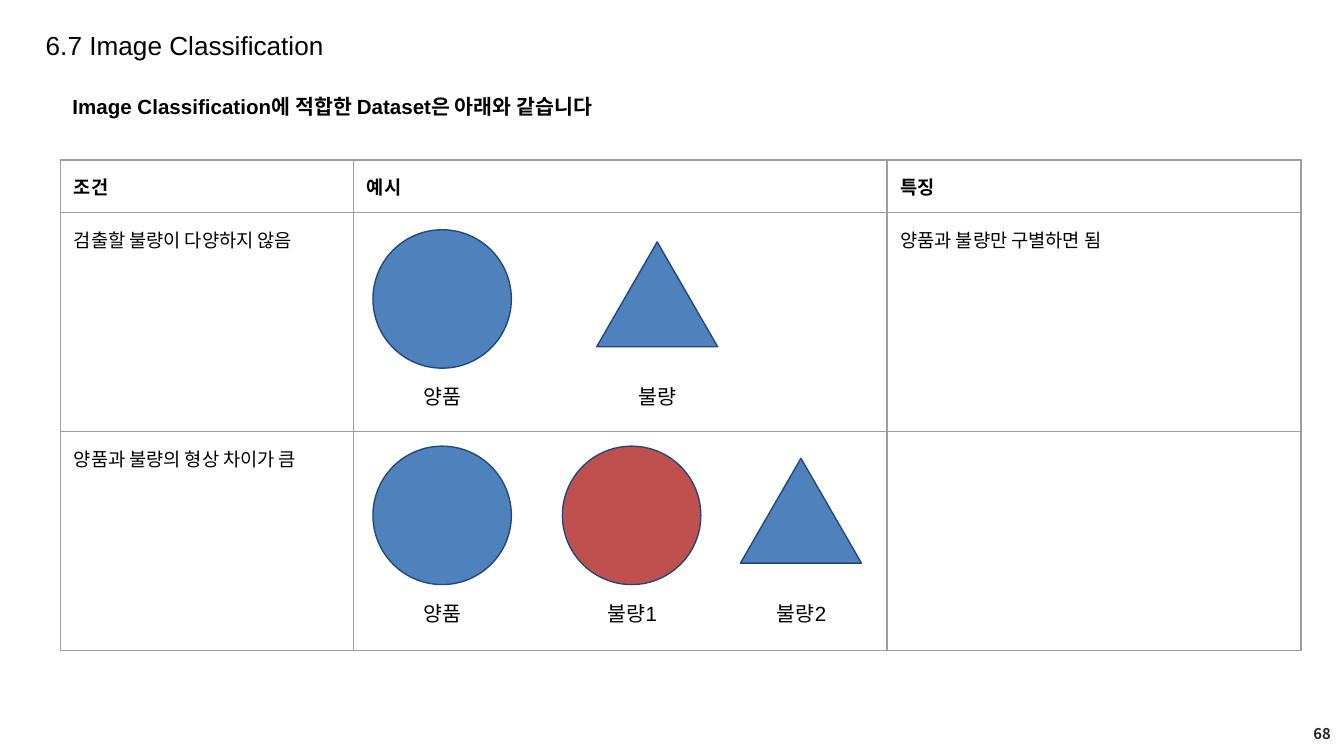
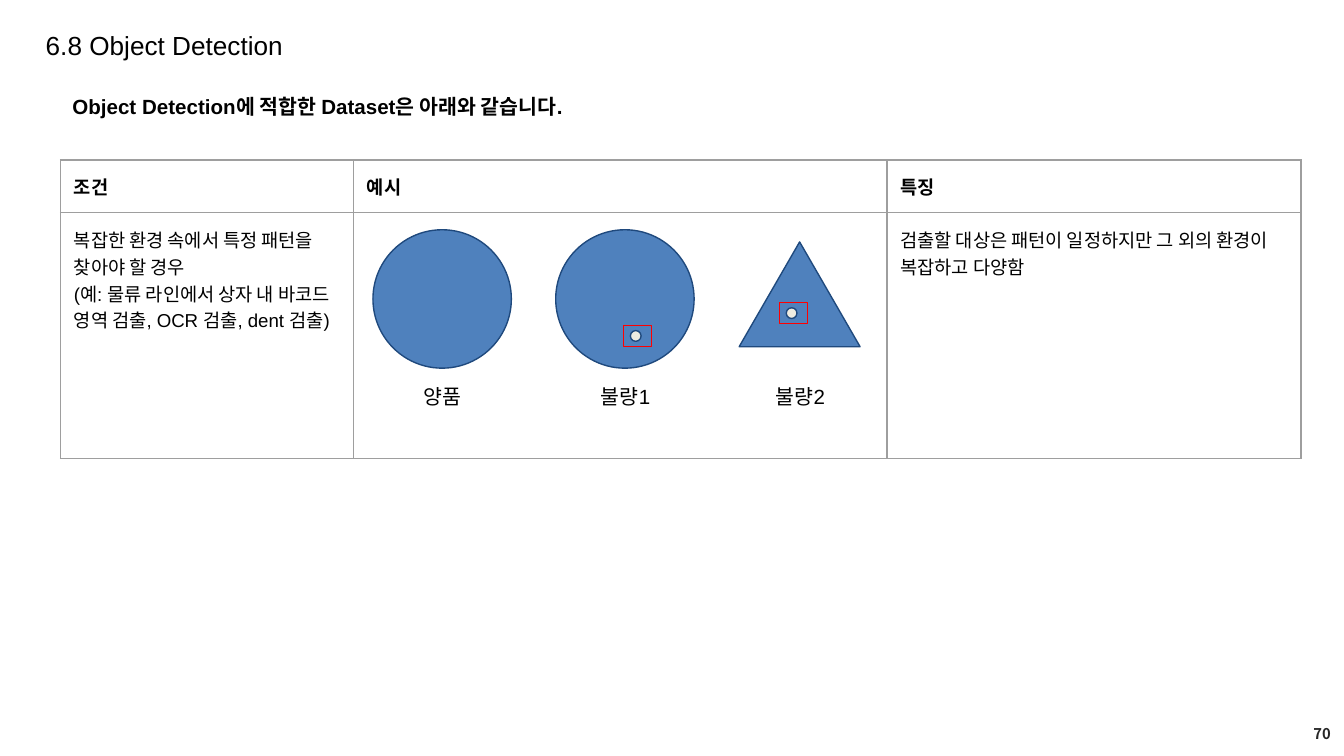
from lxml import etree
from pptx import Presentation
from pptx.dml.color import RGBColor
from pptx.enum.shapes import MSO_SHAPE
from pptx.enum.text import MSO_ANCHOR, MSO_AUTO_SIZE, PP_ALIGN
from pptx.oxml.ns import qn
from pptx.util import Inches, Pt

COLORS = {
    "text": "000000", "page": "262626", "border": "9E9E9E", "outline": "1F497D",
    "good": "4F81BD", "bad": "C0504D", "dot": "EEECE1", "mark": "FF0000",
}
FONT = "Arial"
PAGE_FONT = "Noto Sans CJK KR"
CIRCLE = MSO_SHAPE.FLOWCHART_CONNECTOR
TRIANGLE = MSO_SHAPE.ISOSCELES_TRIANGLE
OVAL = MSO_SHAPE.OVAL
RECTANGLE = MSO_SHAPE.RECTANGLE
LEFT, CENTER, RIGHT = PP_ALIGN.LEFT, PP_ALIGN.CENTER, PP_ALIGN.RIGHT
TOP, MIDDLE = MSO_ANCHOR.TOP, MSO_ANCHOR.MIDDLE
NO_FIT = MSO_AUTO_SIZE.NONE

TABLE_BOX = (0.45, 1.19)
COL_WIDTHS = (2.18, 3.97, 3.08)
HEADER_HEIGHT = 0.39
HEADERS = ("조건", "예시", "특징")
SAMPLE_SIZES = {CIRCLE: (1.03, 1.03, 0.13), TRIANGLE: (0.9, 0.78, 0.22)}


def rgb(name):
    """Return the named colour."""
    return RGBColor.from_string(COLORS[name])


def format_text(tf, size, bold=False, align=LEFT, color="text", font=FONT):
    """Format every paragraph and run of a text frame."""
    tf.word_wrap = True
    for p in tf.paragraphs:
        p.alignment = align
        for r in p.runs:
            r.font.name = font
            r.font.size = Pt(size)
            r.font.bold = bold
            r.font.color.rgb = rgb(color)


def add_text(slide, box, text, size, anchor=TOP, **style):
    """Add a text box."""
    tf = slide.shapes.add_textbox(*map(Inches, box)).text_frame
    tf.text = text
    tf.vertical_anchor = anchor
    format_text(tf, size, **style)


def add_figure(slide, kind, box, fill=None, line="outline"):
    """Add an outlined preset shape, filled if a colour is given."""
    sp = slide.shapes.add_shape(kind, *map(Inches, box))
    sp.shadow.inherit = False
    if fill:
        sp.fill.solid()
        sp.fill.fore_color.rgb = rgb(fill)
    else:
        sp.fill.background()
    sp.line.color.rgb = rgb(line)
    sp.line.width = Pt(0.75)


def add_frame(prs, title, lead, page):
    """Add a slide with its title, lead sentence and page number."""
    slide = prs.slides.add_slide(prs.slide_layouts[5])
    sp = slide.shapes.title
    sp.left, sp.top, sp.width, sp.height = map(Inches, (0.24, 0.05, 8.69, 0.45))
    tf = sp.text_frame
    tf.text = title
    tf.auto_size = NO_FIT
    tf.vertical_anchor = TOP
    tf.paragraphs[0].line_spacing = 1.5
    format_text(tf, 14)
    add_text(slide, (0.44, 0.65, 8.96, 0.29), lead, 11, bold=True)
    add_text(slide, (7.75, 5.31, 2.25, 0.3), page, 7.9, MIDDLE, bold=True,
             align=RIGHT, color="page", font=PAGE_FONT)
    return slide


def style_cell(cell, text, bold):
    """Fill in a cell and give it thin borders and no fill."""
    cell.margin_left = cell.margin_right = Inches(0.1)
    cell.margin_top = cell.margin_bottom = Inches(0.1)
    cell.text = text
    format_text(cell.text_frame, 10, bold)
    tc_pr = cell._tc.get_or_add_tcPr()
    for side in ("a:lnL", "a:lnR", "a:lnT", "a:lnB"):
        ln = etree.SubElement(tc_pr, qn(side), w=str(Pt(0.75)))
        fill = etree.SubElement(ln, qn("a:solidFill"))
        etree.SubElement(fill, qn("a:srgbClr"), val=COLORS["border"])
    cell.fill.background()


def add_conditions(slide, rows, row_height):
    """Add the table of conditions, examples and features."""
    height = HEADER_HEIGHT + row_height * len(rows)
    box = (*TABLE_BOX, sum(COL_WIDTHS), height)
    table = slide.shapes.add_table(len(rows) + 1, 3, *map(Inches, box)).table
    table.first_row = table.horz_banding = False
    for col, width in zip(table.columns, COL_WIDTHS):
        col.width = Inches(width)
    lines = [HEADERS] + [(condition, "", feature) for condition, feature in rows]
    for i, line in enumerate(lines):
        table.rows[i].height = Inches(row_height if i else HEADER_HEIGHT)
        for j, text in enumerate(line):
            style_cell(table.cell(i, j), text, bold=i == 0)


def add_samples(slide, top, samples):
    """Add captioned figures, each centred on its x, in a row starting at top."""
    for kind, center, label, fill in samples:
        width, height, offset = SAMPLE_SIZES[kind]
        add_figure(slide, kind, (center - width / 2, top + offset, width, height), fill)
        add_text(slide, (center - 0.36, top + 1.23, 0.73, 0.29), label, 11, align=CENTER)


def add_defect(slide, left, top):
    """Add a small dot inside a marking frame."""
    add_figure(slide, OVAL, (left + 0.05, top + 0.04, 0.08, 0.08), "dot")
    add_figure(slide, RECTANGLE, (left, top, 0.21, 0.16), line="mark")


def build_classification(prs):
    """Build the image classification slide."""
    slide = add_frame(prs, "6.7 Image Classification",
                      "Image Classification에 적합한 Dataset은 아래와 같습니다", "68")
    row_height = 1.63
    add_conditions(slide, [("검출할 불량이 다양하지 않음", "양품과 불량만 구별하면 됨"),
                           ("양품과 불량의 형상 차이가 큼", "")], row_height)
    top = TABLE_BOX[1] + HEADER_HEIGHT
    add_samples(slide, top, [(CIRCLE, 3.29, "양품", "good"),
                             (TRIANGLE, 4.89, "불량", "good")])
    add_samples(slide, top + row_height - 0.02, [(CIRCLE, 3.29, "양품", "good"),
                                                 (CIRCLE, 4.7, "불량1", "bad"),
                                                 (TRIANGLE, 5.96, "불량2", "good")])


def build_detection(prs):
    """Build the object detection slide."""
    slide = add_frame(prs, "6.8 Object Detection",
                      "Object Detection에 적합한 Dataset은 아래와 같습니다.", "70")
    condition = ("복잡한 환경 속에서 특정 패턴을 찾아야 할 경우\v"
                 "(예: 물류 라인에서 상자 내 바코드 영역 검출, OCR 검출, dent 검출)")
    feature = "검출할 대상은 패턴이 일정하지만 그 외의 환경이 복잡하고 다양함"
    add_conditions(slide, [(condition, feature)], 1.83)
    add_samples(slide, TABLE_BOX[1] + HEADER_HEIGHT, [(CIRCLE, 3.29, "양품", "good"),
                                                      (CIRCLE, 4.65, "불량1", "good"),
                                                      (TRIANGLE, 5.95, "불량2", "good")])
    add_defect(slide, 4.64, 2.42)
    add_defect(slide, 5.8, 2.25)


def main():
    """Build and save the presentation."""
    prs = Presentation()
    prs.slide_width = Inches(10)
    prs.slide_height = prs.slide_width * 9 // 16
    build_classification(prs)
    build_detection(prs)
    prs.save("out.pptx")


if __name__ == "__main__":
    main()
